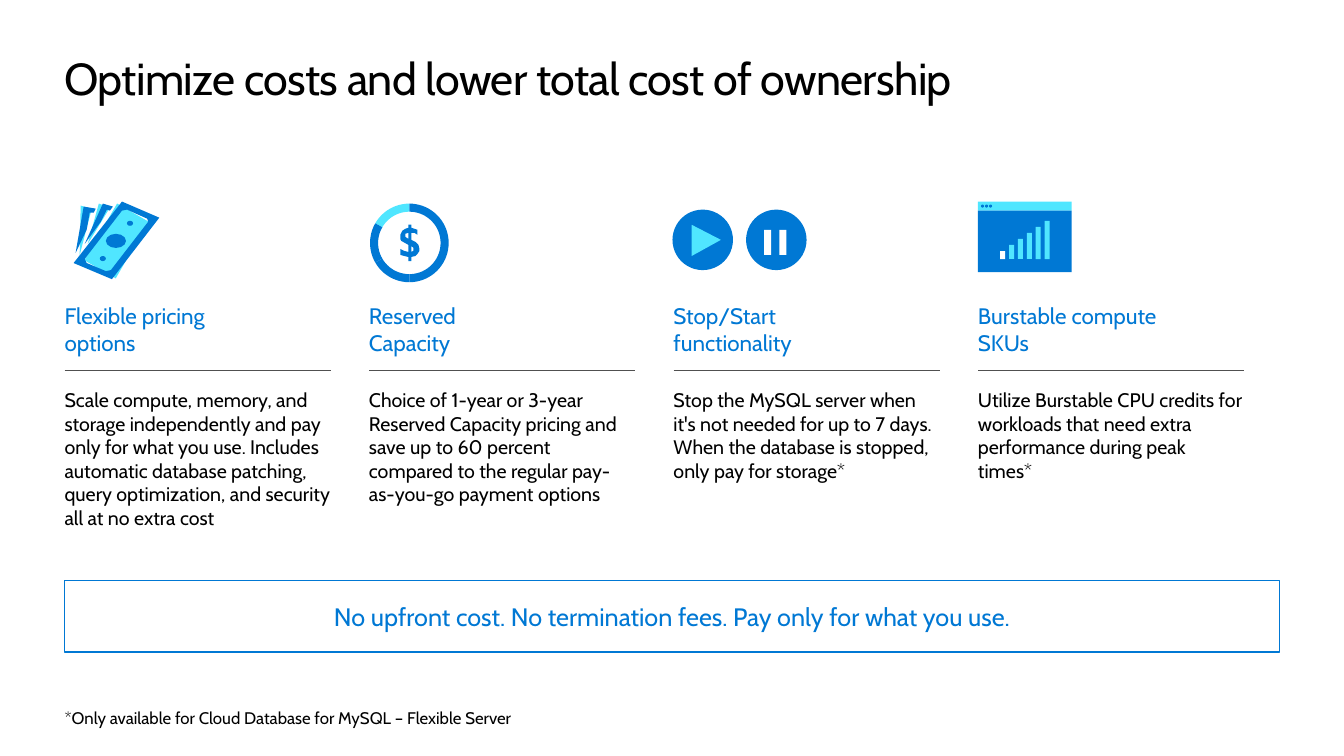
import math

from lxml import etree
from pptx import Presentation
from pptx import util as u
from pptx.dml.color import RGBColor
from pptx.enum import shapes as kinds, text as txt
from pptx.oxml import ns

BLUE = RGBColor(0x00, 0x78, 0xD4)
CYAN = RGBColor(0x50, 0xE6, 0xFF)
BLACK = RGBColor(0x00, 0x00, 0x00)
WHITE = RGBColor(0xFF, 0xFF, 0xFF)
GREY = RGBColor(0x50, 0x50, 0x50)
FONT = "Cabin"
RECT = kinds.MSO_SHAPE.RECTANGLE
OVAL = kinds.MSO_SHAPE.OVAL

MARGIN, CONTENT_WIDTH = 0.64, 12.05
COLUMN_WIDTH, COLUMN_STEP = 2.64, 3.02


# Shared helpers
def write(shape, wording, size, color, inset=0.0, wrap=True,
          anchor=txt.MSO_ANCHOR.TOP, align=txt.PP_ALIGN.LEFT):
    frame = shape.text_frame
    frame.word_wrap = wrap
    frame.auto_size = txt.MSO_AUTO_SIZE.SHAPE_TO_FIT_TEXT
    frame.vertical_anchor = anchor
    frame.margin_left = frame.margin_right = u.Inches(inset)
    frame.margin_top = frame.margin_bottom = u.Inches(inset)
    paragraph = frame.paragraphs[0]
    paragraph.alignment = align
    for number, line in enumerate(wording.split("\n")):
        if number:
            paragraph.add_line_break()
        run = paragraph.add_run()
        run.text = line
        run.font.name, run.font.size = FONT, u.Pt(size)
        run.font.color.rgb = color
    return paragraph


def text_box(slide, box, wording, size, color, **layout):
    area = slide.shapes.add_textbox(*map(u.Inches, box))
    return write(area, wording, size, color, **layout)


def paint(shape, color):
    shape.shadow.inherit = False
    shape.fill.solid()
    shape.fill.fore_color.rgb = color
    shape.line.fill.background()


def block(icon, preset, box, color):
    shape = icon.shapes.add_shape(preset, *map(u.Inches, box))
    paint(shape, color)
    return shape


def outline(icon, left, top, contours, color):
    """Fill closed contours whose points are offsets from (left, top)."""
    builder = None
    for contour in contours:
        points = [(u.Inches(left + x), u.Inches(top + y)) for x, y in contour]
        if builder is None:
            builder = icon.shapes.build_freeform(*points[0])
        else:
            builder.move_to(*points[0])
        builder.add_line_segments(points[1:], close=True)
    paint(builder.convert_to_shape(), color)


# Icons, each placed from its left and top
def banknotes_icon(icon, left, top):
    note = block(icon, RECT, (left + 0.19, top + 0.21, 0.65, 0.36), CYAN)
    note.rotation = 300
    outline(icon, left, top, [[(0.15, 0.53), (0.27, 0.07), (0.16, 0.04)]], CYAN)
    outline(icon, left, top, [[(0.23, 0.42), (0.45, 0.06), (0.34, 0.02)]], CYAN)
    border = [(0.57, 0), (0.94, 0.16), (0.47, 0.77), (0.09, 0.61)]
    window = [(0.62, 0.08), (0.57, 0.09), (0.2, 0.57), (0.22, 0.61),
              (0.41, 0.69), (0.46, 0.68), (0.83, 0.2), (0.82, 0.17)]
    outline(icon, left, top, [border, window], BLUE)
    outline(icon, left, top, [[(0.38, 0.02), (0.48, 0.05), (0.45, 0.09),
                               (0.42, 0.08), (0.36, 0.2), (0.2, 0.42)]], BLUE)
    outline(icon, left, top, [[(0.19, 0.05), (0.31, 0.07), (0.29, 0.11),
                               (0.25, 0.11), (0.22, 0.28), (0.11, 0.51)]], BLUE)
    for x, y, width, height in ((0.62, 0.19, 0.06, 0.05),
                                (0.41, 0.32, 0.2, 0.14),
                                (0.35, 0.54, 0.06, 0.05)):
        block(icon, OVAL, (left + x, top + y, width, height), BLUE)


def dollar_ring_icon(icon, left, top):
    center_x, center_y, outer, inner = 0.4, 0.41, 0.39, 0.31

    def arc(radius, start, end):
        return [(center_x + radius * math.cos(math.radians(angle)),
                 center_y + radius * math.sin(math.radians(angle)))
                for angle in range(start, end + 1, 5)]

    for start, end, color in ((210, 270, CYAN), (150, 210, BLUE),
                              (90, 150, BLUE), (-90, 90, BLUE)):
        segment = arc(outer, start, end) + arc(inner, start, end)[::-1]
        outline(icon, left, top, [segment], color)
    sign = [(0.5, 0.47), (0.5, 0.49), (0.48, 0.52), (0.46, 0.54), (0.42, 0.55),
            (0.42, 0.59), (0.39, 0.59), (0.39, 0.55), (0.35, 0.54),
            (0.31, 0.53), (0.31, 0.47), (0.35, 0.49), (0.39, 0.5),
            (0.39, 0.43), (0.32, 0.39), (0.31, 0.37), (0.31, 0.33),
            (0.33, 0.29), (0.36, 0.27), (0.39, 0.26), (0.39, 0.23),
            (0.42, 0.23), (0.42, 0.26), (0.48, 0.28), (0.48, 0.33),
            (0.45, 0.31), (0.42, 0.31), (0.42, 0.38), (0.46, 0.4), (0.49, 0.43)]
    upper_gap = [(0.39, 0.37), (0.39, 0.31), (0.36, 0.32), (0.36, 0.35)]
    lower_gap = [(0.44, 0.47), (0.44, 0.46), (0.42, 0.44), (0.42, 0.5), (0.44, 0.49)]
    outline(icon, left, top, [sign, upper_gap, lower_gap], BLUE)


def play_pause_icon(icon, left, top):
    for x in (0.72, -0.01):
        block(icon, OVAL, (left + x, top + 0.08, 0.6, 0.6), BLUE)
    outline(icon, left, top, [[(0.47, 0.38), (0.18, 0.54), (0.18, 0.23)]], CYAN)
    for x in (0.9, 1.05):
        block(icon, RECT, (left + x, top + 0.28, 0.07, 0.25), WHITE)


def rising_bars_icon(icon, left, top):
    block(icon, RECT, (left, top, 0.93, 0.09), CYAN)
    block(icon, RECT, (left, top + 0.09, 0.93, 0.61), BLUE)
    for dot in range(3):
        block(icon, OVAL, (left + 0.03 + 0.04 * dot, top + 0.03, 0.03, 0.03), BLUE)
    for bar in range(6):
        height = 0.08 + 0.06 * bar
        block(icon, RECT, (left + 0.22 + 0.088 * bar, top + 0.57 - height, 0.05, height),
              CYAN if bar else WHITE)


BENEFITS = [
    (banknotes_icon, "Flexible pricing\noptions", 2.4,
     "Scale compute, memory, and storage independently and pay only for what you use. "
     "Includes automatic database patching, query optimization, and security "
     "all at no extra cost", 1.65),
    (dollar_ring_icon, "Reserved\nCapacity", 2.4,
     "Choice of 1-year or 3-year Reserved Capacity pricing and save up to 60 percent "
     "compared to the regular pay-as-you-go payment options", 1.18),
    (play_pause_icon, "Stop/Start functionality", 2,
     "Stop the MySQL server when it's not needed for up to 7 days. "
     "When the database is stopped, only pay for storage*", 0.94),
    (rising_bars_icon, "Burstable compute SKUs", 2.13,
     "Utilize Burstable CPU credits for workloads that need extra performance "
     "during peak times*", 0.94),
]


# Regions of the slide
def add_title(slide, left, top, width, height):
    title = slide.shapes.title
    title.left, title.top = u.Inches(left), u.Inches(top)
    title.width, title.height = u.Inches(width), u.Inches(height)
    heading = write(title, "Optimize costs and lower total cost of ownership", 32, BLACK)
    heading.runs[0].font._element.set("spc", "-50")


def add_benefit(slide, left, top, width, benefit):
    draw_icon, heading, heading_width, details, details_height = benefit
    draw_icon(slide.shapes.add_group_shape(), left, top)
    text_box(slide, (left, top + 1, heading_width, 0.54), heading, 16, BLUE)
    rule_y = u.Inches(top + 1.68)
    rule = slide.shapes.add_connector(kinds.MSO_CONNECTOR.STRAIGHT, u.Inches(left),
                                      rule_y, u.Inches(left + width), rule_y)
    rule.line.color.rgb, rule.line.width = GREY, u.Pt(0.75)
    etree.SubElement(rule._element.spPr, ns.qn("a:effectLst"))
    body = text_box(slide, (left, top + 1.85, width, details_height), details, 14, BLACK)
    body.space_after = u.Pt(6)


def add_banner(slide, left, top, width, height):
    banner = slide.shapes.add_shape(RECT, *map(u.Inches, (left, top, width, height)))
    banner.shadow.inherit = False
    banner.fill.background()
    banner.line.color.rgb, banner.line.width = BLUE, u.Pt(1)
    write(banner, "No upfront cost. No termination fees. Pay only for what you use.", 18,
          BLUE, inset=0.2, anchor=txt.MSO_ANCHOR.MIDDLE, align=txt.PP_ALIGN.CENTER)


def add_footnote(slide, left, top, width, height):
    text_box(slide, (left, top, width, height),
             "*Only available for Cloud Database for MySQL – Flexible Server",
             12, BLACK, wrap=False)


def main():
    deck = Presentation()
    deck.slide_width, deck.slide_height = u.Inches(13.33), u.Inches(7.5)
    slide = deck.slides.add_slide(deck.slide_layouts[5])
    add_title(slide, MARGIN, 0.5, CONTENT_WIDTH, 0.54)
    for column, benefit in enumerate(BENEFITS):
        add_benefit(slide, MARGIN + COLUMN_STEP * column, 2, COLUMN_WIDTH, benefit)
    add_banner(slide, MARGIN, 5.76, CONTENT_WIDTH, 0.71)
    add_footnote(slide, MARGIN, 7.02, 4.67, 0.2)
    deck.save("out.pptx")


if __name__ == "__main__":
    main()
